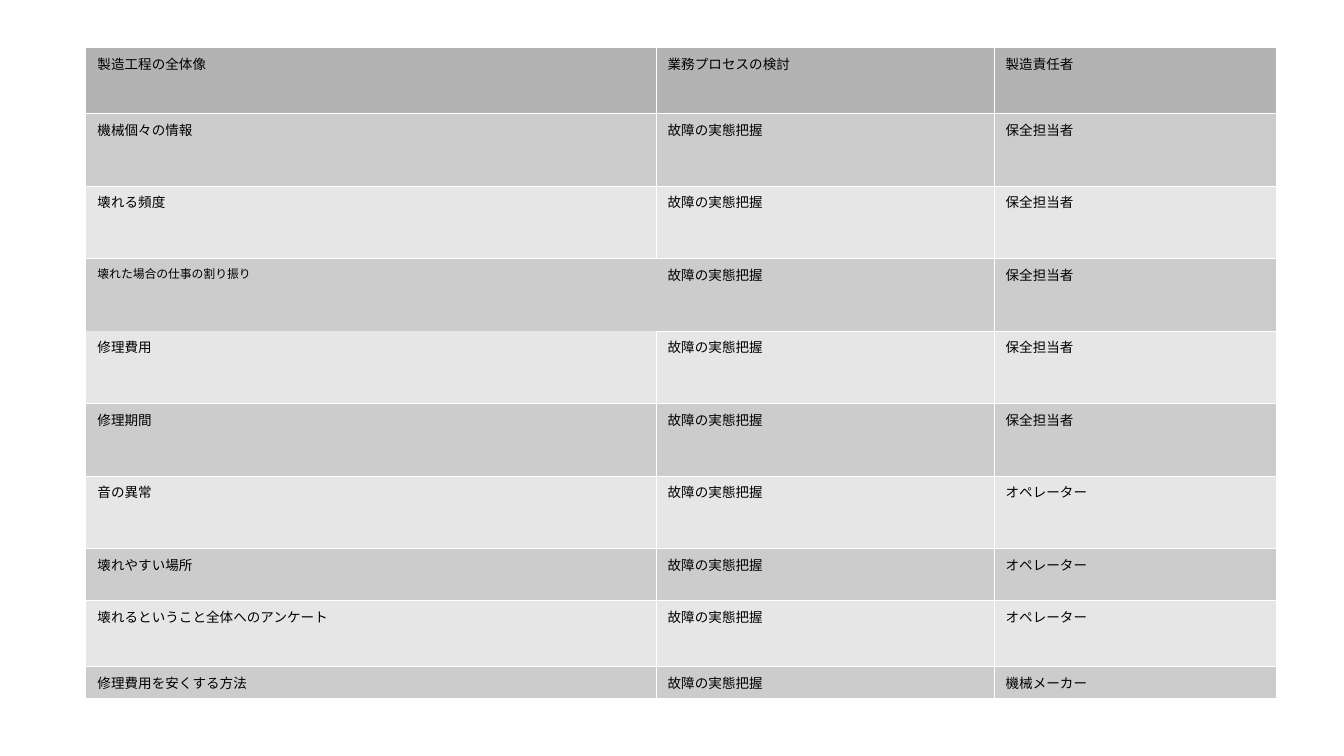
from dataclasses import dataclass

from lxml.etree import SubElement
from pptx import Presentation
from pptx.dml.color import RGBColor
from pptx.oxml.ns import qn
from pptx.util import Cm, Pt


@dataclass(frozen=True)
class Theme:
    font: str = "Arial"
    body_size: float = 8
    small_size: float = 7
    text: str = "000000"
    header: str = "B3B3B3"
    bands: tuple = ("CCCCCC", "E6E6E6")
    border: str = "FFFFFF"
    border_width: float = 0.06


theme = Theme()


def set_borders(cell, hidden_side):
    """Draw thin borders on a cell, leaving one side without a line."""
    properties = cell._tc.get_or_add_tcPr()
    for index, side in enumerate("LRTB"):
        line = SubElement(properties, qn(f"a:ln{side}"), w=str(Pt(theme.border_width)))
        properties.insert(index, line)
        if side == hidden_side:
            SubElement(line, qn("a:noFill"))
        else:
            fill = SubElement(line, qn("a:solidFill"))
            SubElement(fill, qn("a:srgbClr"), val=theme.border)


# Table content
header = ("製造工程の全体像", "業務プロセスの検討", "製造責任者")
process = "故障の実態把握"
items = [
    ("機械個々の情報", "保全担当者"),
    ("壊れる頻度", "保全担当者"),
    ("壊れた場合の仕事の割り振り", "保全担当者"),
    ("修理費用", "保全担当者"),
    ("修理期間", "保全担当者"),
    ("音の異常", "オペレーター"),
    ("壊れやすい場所", "オペレーター"),
    ("壊れるということ全体へのアンケート", "オペレーター"),
    ("修理費用を安くする方法", "機械メーカー"),
]
rows = [header] + [(item, process, owner) for item, owner in items]
column_widths = [11.88, 7.04, 5.89]
row_heights = [1.37] + [1.51] * 6 + [1.09, 1.37, 0.65]

# The cells around the small-type cell each lack the side facing it
small_cell = (3, 0)
hidden_sides = {(2, 0): "B", (3, 1): "L", (4, 0): "T"}

# Slide
presentation = Presentation()
presentation.slide_width = Cm(28)
presentation.slide_height = Cm(15.75)
slide = presentation.slides.add_slide(presentation.slide_layouts[6])

# Table frame
table = slide.shapes.add_table(
    len(rows), len(header), Cm(1.78), Cm(0.99),
    Cm(sum(column_widths)), Cm(sum(row_heights)),
).table
table.first_row = True
table.horz_banding = False
for column, width in zip(table.columns, column_widths):
    column.width = Cm(width)
for row, height in zip(table.rows, row_heights):
    row.height = Cm(height)

# Cells
for row_index, texts in enumerate(rows):
    color = theme.bands[(row_index - 1) % 2] if row_index else theme.header
    for column_index, text in enumerate(texts):
        position = (row_index, column_index)
        cell = table.cell(*position)
        cell.text = text
        cell.margin_left = cell.margin_right = Cm(0.25)
        cell.margin_top = cell.margin_bottom = Cm(0.13)
        cell.fill.solid()
        cell.fill.fore_color.rgb = RGBColor.from_string(color)
        set_borders(cell, hidden_sides.get(position))
        font = cell.text_frame.paragraphs[0].font
        font.name = theme.font
        font.size = Pt(theme.small_size if position == small_cell else theme.body_size)
        font.bold = False
        font.color.rgb = RGBColor.from_string(theme.text)

presentation.save("out.pptx")
